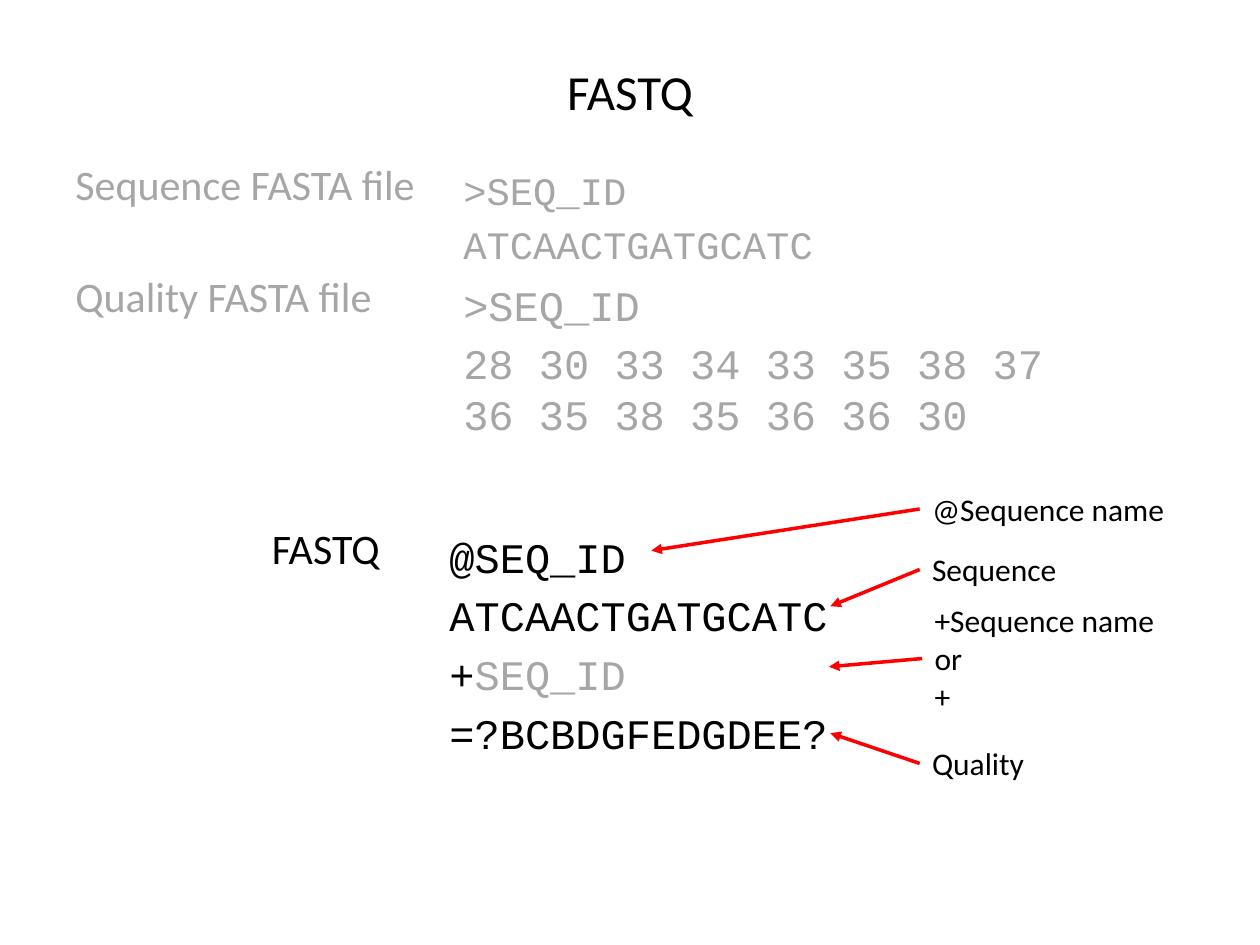
from lxml import etree
from pptx import Presentation
from pptx.dml.color import RGBColor
from pptx.enum.shapes import MSO_CONNECTOR
from pptx.enum.text import MSO_ANCHOR, MSO_AUTO_SIZE, PP_ALIGN
from pptx.oxml.ns import qn
from pptx.util import Cm, Pt

COLORS = {"black": "000000", "gray": "A6A6A6", "red": "FF0000"}
LABEL_LEFT = 18.54
FILE_LEFT = 1.27


def set_font(font, name, size, color):
    font.name = name
    font.size = Pt(size)
    font.color.rgb = RGBColor.from_string(COLORS[color])


def add_text(slide, box, lines, size, color="black", wrap=False):
    textbox = slide.shapes.add_textbox(*map(Cm, box))
    frame = textbox.text_frame
    frame.word_wrap = wrap
    frame.auto_size = MSO_AUTO_SIZE.NONE if wrap else MSO_AUTO_SIZE.SHAPE_TO_FIT_TEXT
    for index, line in enumerate(lines):
        paragraph = frame.paragraphs[0] if index == 0 else frame.add_paragraph()
        paragraph.text = line
        set_font(paragraph.font, "Calibri", size, color)
    return textbox


def add_code(slide, box, lines, size, color):
    frame = add_text(slide, box, lines, size, color, wrap=True).text_frame
    gap = Pt(size * 0.2)
    frame.margin_top = Cm(0.13) + gap
    for index, paragraph in enumerate(frame.paragraphs):
        paragraph.font.name = "Courier New"
        if index:
            paragraph.space_before = gap
    return frame


def add_arrow(slide, label, tip):
    x, y = map(Cm, tip)
    arrow = slide.shapes.add_connector(MSO_CONNECTOR.STRAIGHT, x, y, x, y)
    arrow.begin_connect(label, 1)
    arrow.line.color.rgb = RGBColor.from_string(COLORS["red"])
    arrow.line.width = Pt(2)
    etree.SubElement(arrow.line._get_or_add_ln(), qn("a:tailEnd"), type="triangle")
    etree.SubElement(arrow._element.spPr, qn("a:effectLst"))


def main():
    deck = Presentation()
    deck.slide_width, deck.slide_height = Cm(25.4), Cm(19.05)
    slide = deck.slides.add_slide(deck.slide_layouts[6])

    title = add_text(slide, (1.27, 0.76, 22.86, 2.16), ["FASTQ"], 28, wrap=True).text_frame
    title.vertical_anchor = MSO_ANCHOR.MIDDLE
    title.paragraphs[0].alignment = PP_ALIGN.CENTER

    add_code(slide, (9.09, 3.07, 12.75, 2.21), [">SEQ_ID", "ATCAACTGATGCATC"], 22.2, "gray")
    add_code(slide, (9.09, 5.33, 13.54, 3.63),
             [">SEQ_ID", "28 30 33 34 33 35 38 37 36 35 38 35 36 36 30"], 24, "gray")
    record = add_code(slide, (8.81, 10.41, 13.54, 5.18),
                      ["@SEQ_ID", "ATCAACTGATGCATC", "+", "=?BCBDGFEDGDEE?"], 24, "black")
    optional_name = record.paragraphs[2].add_run()
    optional_name.text = "SEQ_ID"
    optional_name.font.color.rgb = RGBColor.from_string(COLORS["gray"])

    for left, top, width, name, color in [
        (FILE_LEFT, 3.07, 7.54, "Sequence FASTA file", "gray"),
        (FILE_LEFT, 5.33, 6.65, "Quality FASTA file", "gray"),
        (5.23, 10.41, 2.72, "FASTQ", "black"),
    ]:
        add_text(slide, (left, top, width, 1.27), [name], 24, color)

    for box, lines, tip in [
        ((LABEL_LEFT, 9.75, 5.26, 1.02), ["@Sequence name"], (13.13, 11.1)),
        ((LABEL_LEFT, 10.97, 3.05, 1.02), ["Sequence"], (16.74, 12.22)),
        ((18.59, 11.99, 5, 2.57), ["+Sequence name", "or", "+"], (16.71, 13.44)),
        ((LABEL_LEFT, 14.88, 2.39, 1.02), ["Quality"], (16.74, 14.78)),
    ]:
        add_arrow(slide, add_text(slide, box, lines, 18), tip)

    deck.save("out.pptx")


if __name__ == "__main__":
    main()
